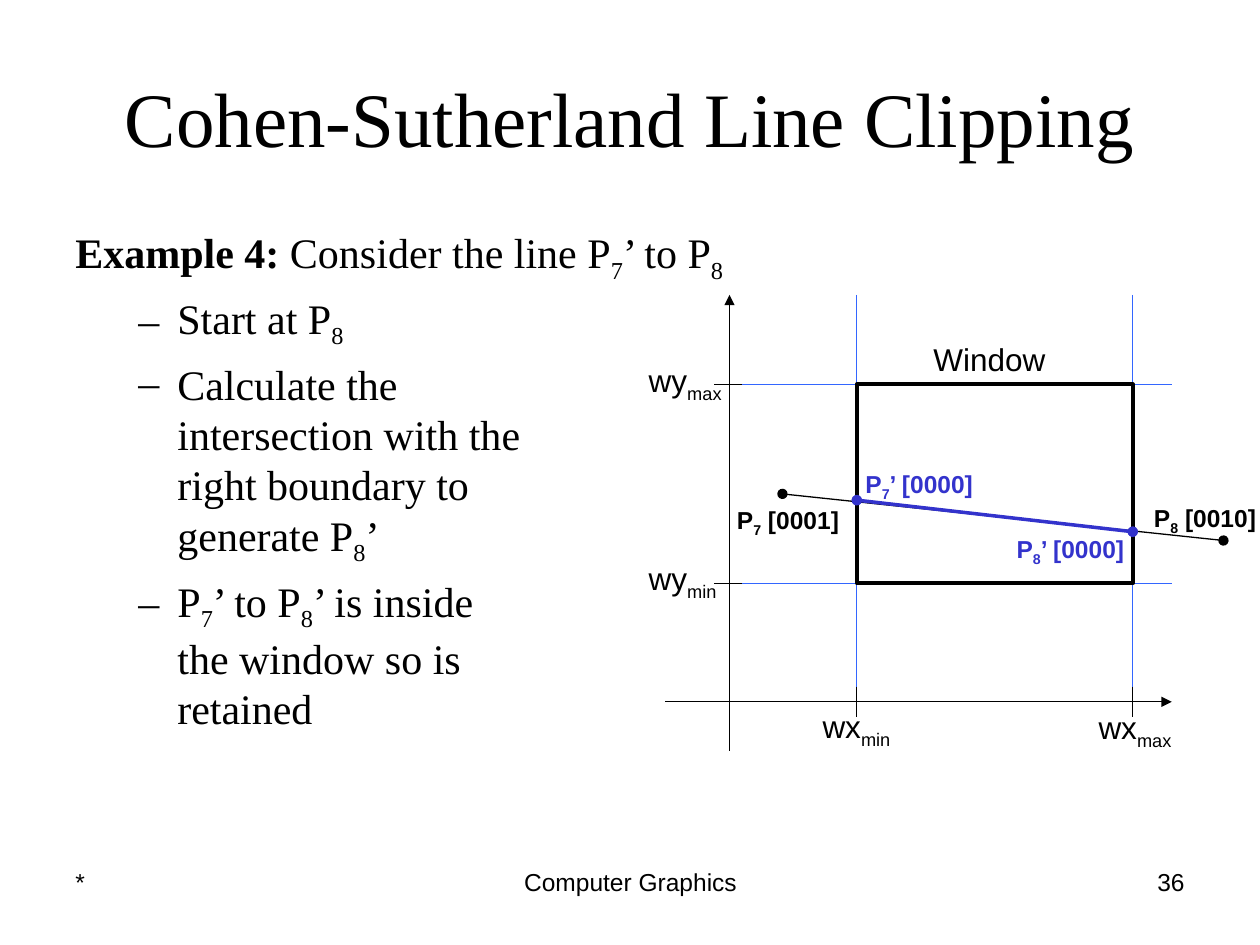
from lxml.etree import SubElement
from pptx import Presentation
from pptx.dml.color import RGBColor
from pptx.enum.shapes import MSO_CONNECTOR, MSO_SHAPE
from pptx.enum.text import MSO_ANCHOR, PP_ALIGN
from pptx.oxml.ns import qn
from pptx.util import Inches, Pt

BLACK = RGBColor(0x00, 0x00, 0x00)
GUIDE_BLUE = RGBColor(0x33, 0x66, 0xFF)
CLIP_BLUE = RGBColor(0x33, 0x33, 0xCC)
SERIF = "Times New Roman"
SANS = "Arial"

LEFT, RIGHT, TOP, BOTTOM = 6.8, 8.99, 3.05, 4.63
AXIS_X, AXIS_Y = 5.79, 5.57

STEPS = [
    "Start at P{8}",
    "Calculate the \nintersection with the \nright boundary to \ngenerate P{8}’",
    "P{7}’ to P{8}’ is inside \nthe window so is \nretained",
]


def add_span(para, text, size, font, color, bold=False, subscript=False):
    """Add one formatted run to a paragraph."""
    span = para.add_run()
    span.text = text
    span.font.size = Pt(size)
    span.font.name = font
    span.font.bold = bold
    span.font.color.rgb = color
    if subscript:
        span.font._element.set("baseline", "-25000")


def write(para, text, **style):
    """Write text in which braces mark subscripts and newlines mark line breaks."""
    for row, line in enumerate(text.split("\n")):
        if row:
            para.add_line_break()
        for index, part in enumerate(line.replace("}", "{").split("{")):
            if part:
                add_span(para, part, subscript=index % 2 == 1, **style)


def add_box(page, left, top, width, height, wrap=True, anchor=MSO_ANCHOR.TOP):
    """Add an empty text box and return its text frame."""
    frame = page.shapes.add_textbox(
        Inches(left), Inches(top), Inches(width), Inches(height)).text_frame
    frame.word_wrap = wrap
    frame.vertical_anchor = anchor
    return frame


def add_text(page, text, left, top, width, height, size=14, font=SANS, color=BLACK,
             bold=False, align=PP_ALIGN.LEFT, **box_format):
    """Add a text box holding one formatted paragraph."""
    para = add_box(page, left, top, width, height, **box_format).paragraphs[0]
    para.alignment = align
    write(para, text, size=size, font=font, color=color, bold=bold)


def set_indent(para, margin, first):
    """Set the left margin and first-line indent of a paragraph."""
    properties = para._p.get_or_add_pPr()
    properties.set("marL", str(Inches(margin)))
    properties.set("indent", str(Inches(first)))
    return properties


def add_body(page):
    """Add the example heading and its dashed steps."""
    style = dict(size=24, font=SERIF, color=BLACK)
    frame = add_box(page, 0.5, 1.75, 9, 4.95)
    heading = frame.paragraphs[0]
    set_indent(heading, 0.38, -0.38)
    write(heading, "Example 4: ", bold=True, **style)
    write(heading, "Consider the line P{7}’ to P{8}", **style)
    for step in STEPS:
        para = frame.add_paragraph()
        para.level = 1
        para.space_before = Pt(4.8)
        properties = set_indent(para, 0.81, -0.31)
        bullet_color = SubElement(properties, qn("a:buClr"))
        SubElement(bullet_color, qn("a:srgbClr"), val=str(BLACK))
        SubElement(properties, qn("a:buFont"), typeface=SERIF)
        SubElement(properties, qn("a:buChar"), char="–")
        write(para, step, **style)


def add_line(page, start, end, color=BLACK, width=0.75, head=None, tail=None):
    """Add a straight line with optional end marks."""
    line = page.shapes.add_connector(
        MSO_CONNECTOR.STRAIGHT, *(Inches(value) for value in (*start, *end)))
    line.line.color.rgb = color
    line.line.width = Pt(width)
    for tag, mark in (("a:headEnd", head), ("a:tailEnd", tail)):
        if mark:
            SubElement(line.line._ln, qn(tag), type=mark)
    SubElement(line._element.spPr, qn("a:effectLst"))


def add_shape(page, kind, left, top, width, height, fill=None, outline=None):
    """Add a preset shape with a plain fill or a plain outline."""
    shape = page.shapes.add_shape(
        kind, Inches(left), Inches(top), Inches(width), Inches(height))
    shape.shadow.inherit = False
    if fill is None:
        shape.fill.background()
    else:
        shape.fill.solid()
        shape.fill.fore_color.rgb = fill
    if outline is None:
        shape.line.fill.background()
    else:
        shape.line.color.rgb = outline
        shape.line.width = Pt(2.25)


def add_axes(page):
    """Add the boundary guides, axes, clip window, ticks and axis labels."""
    for x in (LEFT, RIGHT):
        add_line(page, (x, 2.34), (x, 5.5), GUIDE_BLUE)
    for y in (TOP, BOTTOM):
        add_line(page, (9.3, y), (5.89, y), GUIDE_BLUE)
    add_line(page, (5.28, AXIS_Y), (9.3, AXIS_Y), tail="triangle")
    add_line(page, (AXIS_X, 5.96), (AXIS_X, 2.34), tail="triangle")
    add_shape(page, MSO_SHAPE.RECTANGLE, LEFT, TOP, RIGHT - LEFT, BOTTOM - TOP,
              outline=BLACK)
    for y in (TOP, BOTTOM):
        add_line(page, (5.89, y), (5.67, y))
    for x in (LEFT, RIGHT):
        add_line(page, (x, 5.45), (x, 5.69))
    for text, left, top, width in (
            ("wy{max}", 5.05, 2.82, 0.82), ("wy{min}", 5.05, 4.39, 0.77),
            ("wx{min}", 6.43, 5.56, 0.77), ("wx{max}", 8.62, 5.57, 0.82),
            ("Window", 7.31, 2.65, 1.09)):
        add_text(page, text, left, top, width, 0.4, size=18, wrap=False)


def add_clipped_line(page):
    """Add the full line, its retained part and the point labels."""
    add_line(page, (6.21, 3.92), (9.71, 4.29), head="oval", tail="oval")
    for text, left, top, width, color in (
            ("P{7}’ [0000]", 6.77, 3.67, 1.07, CLIP_BLUE),
            ("P{7} [0001]", 5.75, 3.96, 1.01, BLACK),
            ("P{8} [0010]", 9.06, 3.94, 1.01, BLACK),
            ("P{8}’ [0000]", 7.97, 4.19, 1.07, CLIP_BLUE)):
        add_text(page, text, left, top, width, 0.33, color=color, bold=True, wrap=False)
    ends = ((LEFT, 3.97), (RIGHT, 4.22))
    for x, y in ends:
        add_shape(page, MSO_SHAPE.OVAL, x - 0.04, y - 0.04, 0.08, 0.08, fill=CLIP_BLUE)
    add_line(page, *ends, color=CLIP_BLUE, width=2, head="oval", tail="oval")


def main():
    """Build the slide and save the deck."""
    deck = Presentation()
    deck.slide_width, deck.slide_height = Inches(10), Inches(7.5)
    page = deck.slides.add_slide(deck.slide_layouts[6])
    add_text(page, "*", 0.5, 6.83, 2.33, 0.52)
    add_text(page, "Computer Graphics", 3.42, 6.83, 3.17, 0.52, align=PP_ALIGN.CENTER)
    add_text(page, "36", 7.17, 6.83, 2.33, 0.52, align=PP_ALIGN.RIGHT)
    add_text(page, "Cohen-Sutherland Line Clipping", 0.5, 0.3, 9, 1.25, size=44,
             font=SERIF, align=PP_ALIGN.CENTER, anchor=MSO_ANCHOR.MIDDLE)
    add_body(page)
    add_axes(page)
    add_clipped_line(page)
    deck.save("out.pptx")


if __name__ == "__main__":
    main()
